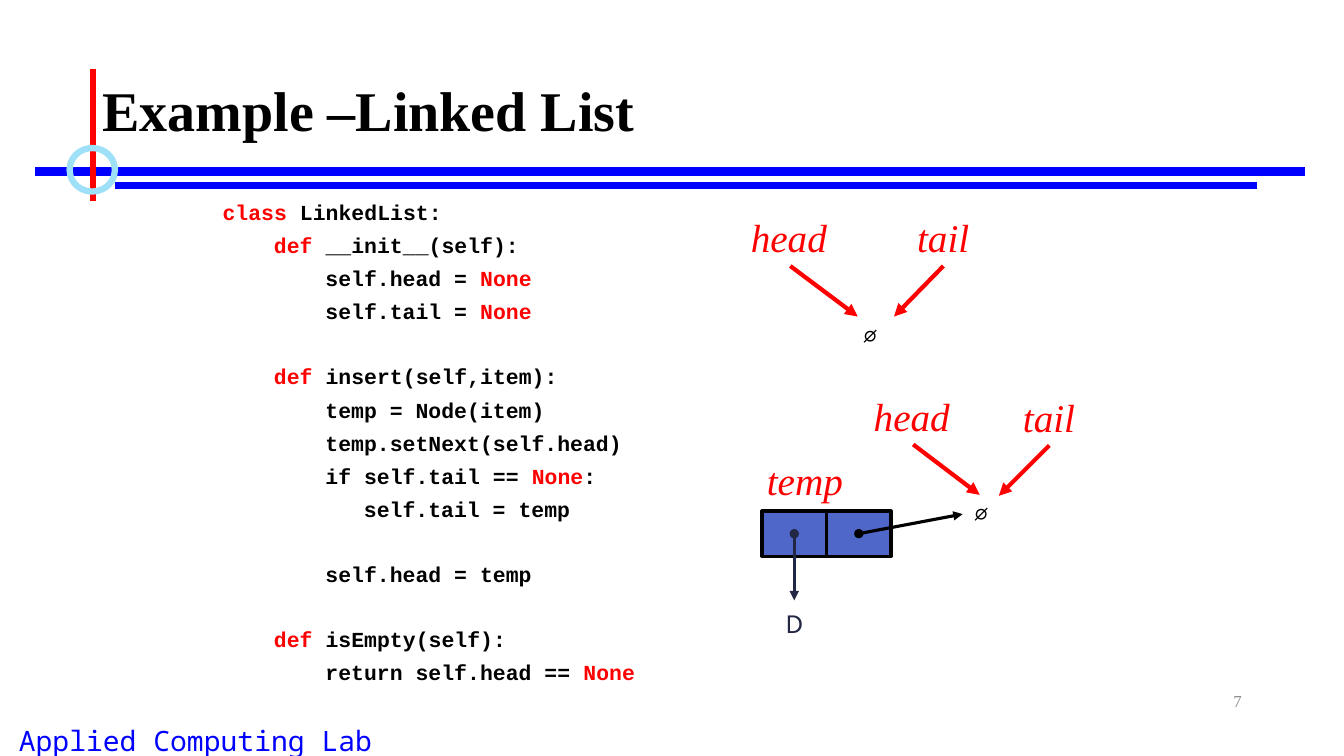
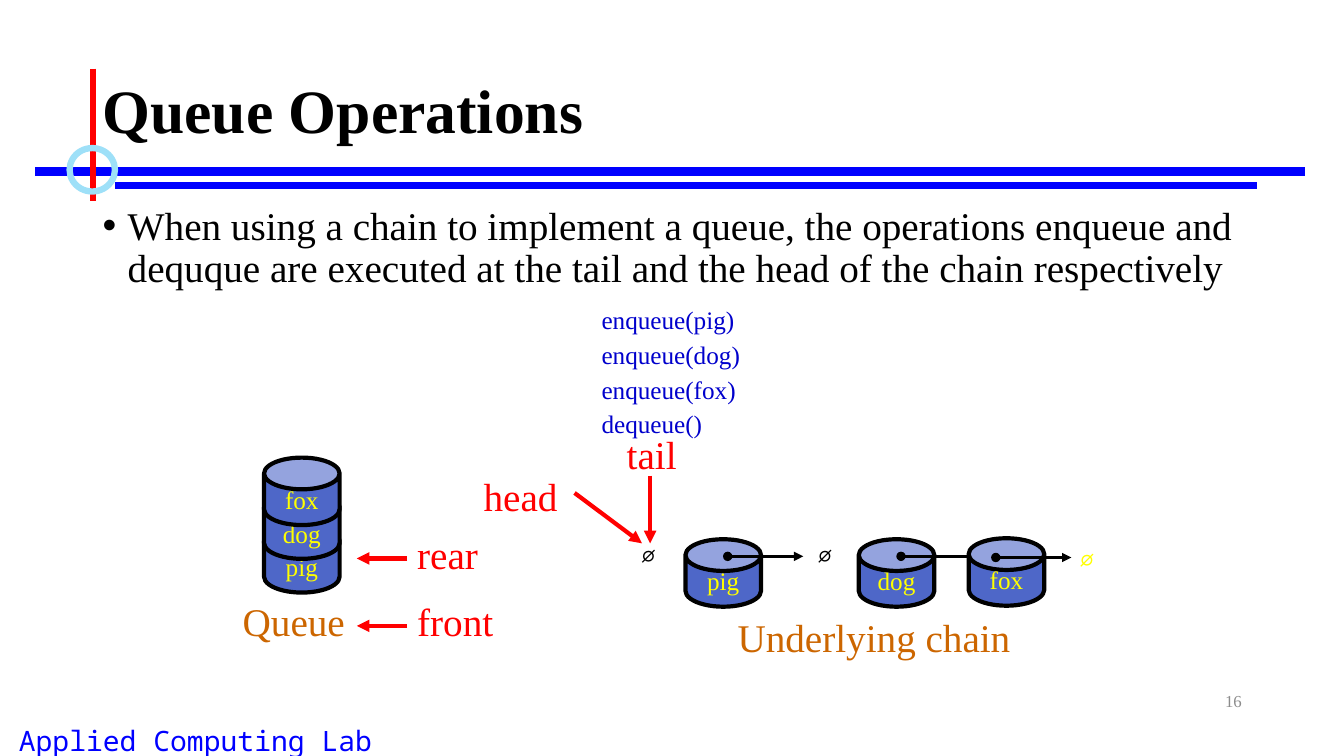
from lxml import etree
from pptx import Presentation
from pptx.dml.color import RGBColor
from pptx.enum.shapes import MSO_CONNECTOR, MSO_SHAPE
from pptx.enum.text import MSO_ANCHOR, MSO_AUTO_SIZE, PP_ALIGN
from pptx.oxml.ns import qn
from pptx.util import Pt

# Shared look; all lengths are points
BLACK, RED, BLUE, RING = "000000", "FF0000", "0000FF", "9EE0F8"
FILL, NAVY, YELLOW = "4E67C8", "212745", "FFFF00"
ORANGE, CALL_BLUE, GREY = "CC6600", "0000CC", "8C8C8C"
SERIF, MONO, SANS, FOOTER_FONT = "Times New Roman", "Courier New", "Karla", "Noto Sans Mono"
FOOTER = "Applied Computing Lab"
RULES = [  # start, end, colour, width
    ((25.2, 122.4), (932.4, 122.4), BLUE, 6),
    ((82.1, 132.5), (897.8, 132.5), BLUE, 4.5),
    ((66.2, 49), (66.2, 143.3), RED, 4.5),
]
LABEL_HEIGHT = 41

# Linked list slide
CODE = """\
class LinkedList:
    def __init__(self):
        self.head = None
        self.tail = None

    def insert(self,item):
        temp = Node(item)
        temp.setNext(self.head)
        if self.tail == None:
           self.tail = temp

        self.head = temp

    def isEmpty(self):
        return self.head == None"""
KEYWORDS = ("class", "def", "None")
CODE_SIZE, CODE_LINE, CODE_GAP, CODE_SPACING = 15.3, 22.86, 10, 0.74
POINTERS = [  # label, left, top, width, arrow tip
    ("head", 529.2, 149, 70.6, (612.7, 226.1)),
    ("tail", 648, 149, 51.8, (638.6, 226.1)),
    ("head", 617, 276.5, 70.6, (699.8, 353.5)),
    ("tail", 723.6, 277.2, 51.8, (713.5, 354.2)),
]
LIST_NULLS = [(606.2, 222.5), (685.4, 349.9)]
NODE_LEFT, NODE_TOP, CELL_WIDTH, CELL_HEIGHT = 544.3, 365, 46.1, 32.4

# Queue slide
QUEUE_TEXT = ("When using a chain to implement a queue, the operations enqueue and "
              "dequque are executed at the tail and the head of the chain respectively")
CALLS = ["enqueue(pig)", "enqueue(dog)", "enqueue(fox)", "dequeue()"]
LABELS = [  # label, left, top, width, colour
    ("Queue", 166.3, 423.4, 88.6, ORANGE),
    ("Underlying chain", 519.8, 434.2, 213.1, ORANGE),
    ("head", 338.4, 334.1, 67, RED),
    ("tail", 440.6, 303.8, 50.4, RED),
    ("rear", 290.9, 375.1, 58.3, RED),
    ("front", 290.9, 423.4, 69.1, RED),
]
LABEL_ARROWS = [
    ((410.4, 352.1), (458.6, 388.1)),
    ((464.4, 339.8), (464.4, 388.1)),
    ((290.9, 398.9), (254.9, 398.9)),
    ((290.9, 447.1), (254.9, 447.1)),
]
STACK = ["pig", "dog", "fox"]
STACK_LEFT, STACK_BOTTOM_TOP, STACK_STEP = 188.6, 375.1, 24.1
CHAIN = [  # word, left, top, link start inside the can
    ("pig", 489.6, 385.2, (30.2, 12.2)),
    ("dog", 613.4, 385.2, (30.2, 12.2)),
    ("fox", 691.9, 384.5, (19.4, 13.7)),
]
LINK_LENGTH = 54
QUEUE_NULLS = [(447.8, 379.4, BLACK), (573.8, 379.4, BLACK), (761, 382.3, YELLOW)]


def rgb(value):
    return RGBColor.from_string(value)


def style(run, size, color, font=SERIF, bold=False, italic=False):
    run.font.size, run.font.name = Pt(size), font
    run.font.bold, run.font.italic = bold, italic
    run.font.color.rgb = rgb(color)


def add_text(slide, text, box, size, color, font=SERIF, align=PP_ALIGN.LEFT,
             anchor=MSO_ANCHOR.TOP, wrap=False, bold=False, italic=False):
    textbox = slide.shapes.add_textbox(*map(Pt, box))
    frame = textbox.text_frame
    frame.text = text
    frame.word_wrap, frame.vertical_anchor = wrap, anchor
    frame.auto_size = MSO_AUTO_SIZE.NONE if wrap else MSO_AUTO_SIZE.SHAPE_TO_FIT_TEXT
    for paragraph in frame.paragraphs:
        paragraph.alignment = align
        for run in paragraph.runs:
            style(run, size, color, font, bold, italic)
    return textbox


def add_null(slide, left, top, color=BLACK, anchor=MSO_ANCHOR.TOP):
    add_text(slide, "∅", (left, top, 31, 31), 20, color, SANS, PP_ALIGN.CENTER, anchor)


def add_line(slide, start, end, color, width, head=None, tail=None):
    line = slide.shapes.add_connector(MSO_CONNECTOR.STRAIGHT, *map(Pt, (*start, *end)))
    line.line.color.rgb = rgb(color)
    line.line.width = Pt(width)
    for tag, kind in (("a:headEnd", head), ("a:tailEnd", tail)):
        if kind:
            etree.SubElement(line.line._get_or_add_ln(), qn(tag), type=kind)
    etree.SubElement(line._element.spPr, qn("a:effectLst"))
    return line


def add_link(slide, start, end, color=BLACK):
    return add_line(slide, start, end, color, 2.25, "oval", "triangle")


def add_outline(slide, kind, box, color, width, fill=None):
    shape = slide.shapes.add_shape(kind, *map(Pt, box))
    shape.shadow.inherit = False
    shape.line.color.rgb = rgb(color)
    shape.line.width = Pt(width)
    if fill:
        shape.fill.solid()
        shape.fill.fore_color.rgb = rgb(fill)
    else:
        shape.fill.background()
    return shape


def add_can(slide, word, left, top):
    can = add_outline(slide, MSO_SHAPE.CAN, (left, top, 54, 48.2), BLACK, 3, FILL)
    can.adjustments[0] = 0.47
    frame = can.text_frame
    frame.text = word
    frame.word_wrap, frame.vertical_anchor = False, MSO_ANCHOR.MIDDLE
    frame.paragraphs[0].alignment = PP_ALIGN.CENTER
    style(frame.paragraphs[0].runs[0], 18, YELLOW)


def add_base(deck, title, title_size, number):
    slide = deck.slides.add_slide(deck.slide_layouts[6])
    add_text(slide, FOOTER, (0, 513.4, 279.4, 26), 20, BLUE, FOOTER_FONT,
             PP_ALIGN.CENTER, wrap=True)
    for rule in RULES:
        add_line(slide, *rule)
    add_outline(slide, MSO_SHAPE.OVAL, (49.7, 105.8, 32.4, 31), RING, 4.5)
    heading = add_text(slide, title, (66.2, 28.8, 828, 104.4), title_size, BLACK,
                       anchor=MSO_ANCHOR.MIDDLE, wrap=True, bold=True)
    heading.text_frame.paragraphs[0].line_spacing = 0.9
    add_text(slide, str(number), (678.2, 486, 216, 28.8), 12, GREY,
             align=PP_ALIGN.RIGHT, anchor=MSO_ANCHOR.MIDDLE, wrap=True)
    return slide


def add_code(slide, box):
    frame = slide.shapes.add_textbox(*map(Pt, box)).text_frame
    frame.word_wrap = True
    paragraph, gap = frame.paragraphs[0], CODE_GAP
    for number, line in enumerate(CODE.splitlines()):
        code = line.lstrip()
        if not code:
            gap += CODE_LINE
            continue
        if number:
            paragraph = frame.add_paragraph()
        paragraph.line_spacing, paragraph.space_before = CODE_SPACING, Pt(gap)
        indent = (len(line) - len(code)) * CODE_SIZE * 0.6
        paragraph._p.get_or_add_pPr().set("marL", str(Pt(indent)))
        keyword = next((word for word in KEYWORDS if word in code), None)
        for part in code.partition(keyword) if keyword else [code]:
            if part:
                run = paragraph.add_run()
                run.text = part
                style(run, CODE_SIZE, RED if part == keyword else BLACK, MONO, bold=True)
        gap = CODE_GAP


def build_linked_list(deck):
    slide = add_base(deck, "Example –Linked List", 40, 7)
    add_code(slide, (151.9, 143.3, 475.2, 342.7))

    # Head and tail pointers
    for label, left, top, width, tip in POINTERS:
        name = add_text(slide, label, (left, top, width, LABEL_HEIGHT), 28, RED, italic=True)
        arrow = add_line(slide, (left + width / 2, top + LABEL_HEIGHT), tip, RED, 3,
                         tail="triangle")
        arrow.begin_connect(name, 2)
    for left, top in LIST_NULLS:
        add_null(slide, left, top)

    # New node with its data and next links
    for column in range(2):
        add_outline(slide, MSO_SHAPE.RECTANGLE,
                    (NODE_LEFT + column * CELL_WIDTH, NODE_TOP, CELL_WIDTH, CELL_HEIGHT),
                    BLACK, 2.25, FILL)
    add_text(slide, "temp", (540.7, 322.6, 69.1, LABEL_HEIGHT), 28, RED, italic=True)
    middle = NODE_TOP + CELL_HEIGHT / 2
    data_x = NODE_LEFT + CELL_WIDTH / 2
    add_link(slide, (data_x + CELL_WIDTH, middle), (687.6, 367.2))
    item = add_text(slide, "D", (data_x - 14, 428.8, 28, 31.7), 20, NAVY, SANS,
                    PP_ALIGN.CENTER)
    add_link(slide, (data_x, middle), (data_x, 428.8), NAVY).end_connect(item, 0)


def build_queue(deck):
    slide = add_base(deck, "Queue Operations", 44, 16)

    # Bullet
    body = add_text(slide, QUEUE_TEXT, (66.2, 144, 828, 342.7), 28, BLACK, wrap=True)
    paragraph = body.text_frame.paragraphs[0]
    paragraph.line_spacing, paragraph.space_before = 0.9, Pt(10)
    properties = paragraph._p.get_or_add_pPr()
    properties.set("marL", str(Pt(18)))
    properties.set("indent", str(Pt(-18)))
    etree.SubElement(properties, qn("a:buFont"), typeface="Arial")
    etree.SubElement(properties, qn("a:buChar"), char="•")

    # Calls, labels and their arrows
    calls = add_text(slide, "\n".join(CALLS), (422.6, 213.8, 114.5, 101), 18, CALL_BLUE)
    for paragraph in calls.text_frame.paragraphs[1:]:
        paragraph.space_before = Pt(3.3)
    for label, left, top, width, color in LABELS:
        add_text(slide, label, (left, top, width, LABEL_HEIGHT), 28, color)
    for start, end in LABEL_ARROWS:
        add_line(slide, start, end, RED, 3, tail="triangle")

    # Queue, from the bottom up
    for level, word in enumerate(STACK):
        add_can(slide, word, STACK_LEFT, STACK_BOTTOM_TOP - level * STACK_STEP)

    # Chain of linked cans
    for word, left, top, (dx, dy) in CHAIN:
        add_can(slide, word, left, top)
        start = (left + dx, top + dy)
        add_link(slide, start, (start[0] + LINK_LENGTH, start[1]))
    for left, top, color in QUEUE_NULLS:
        add_null(slide, left, top, color, MSO_ANCHOR.MIDDLE)


def main():
    deck = Presentation()
    deck.slide_width, deck.slide_height = Pt(960), Pt(540)
    build_linked_list(deck)
    build_queue(deck)
    deck.save("out.pptx")


if __name__ == "__main__":
    main()
